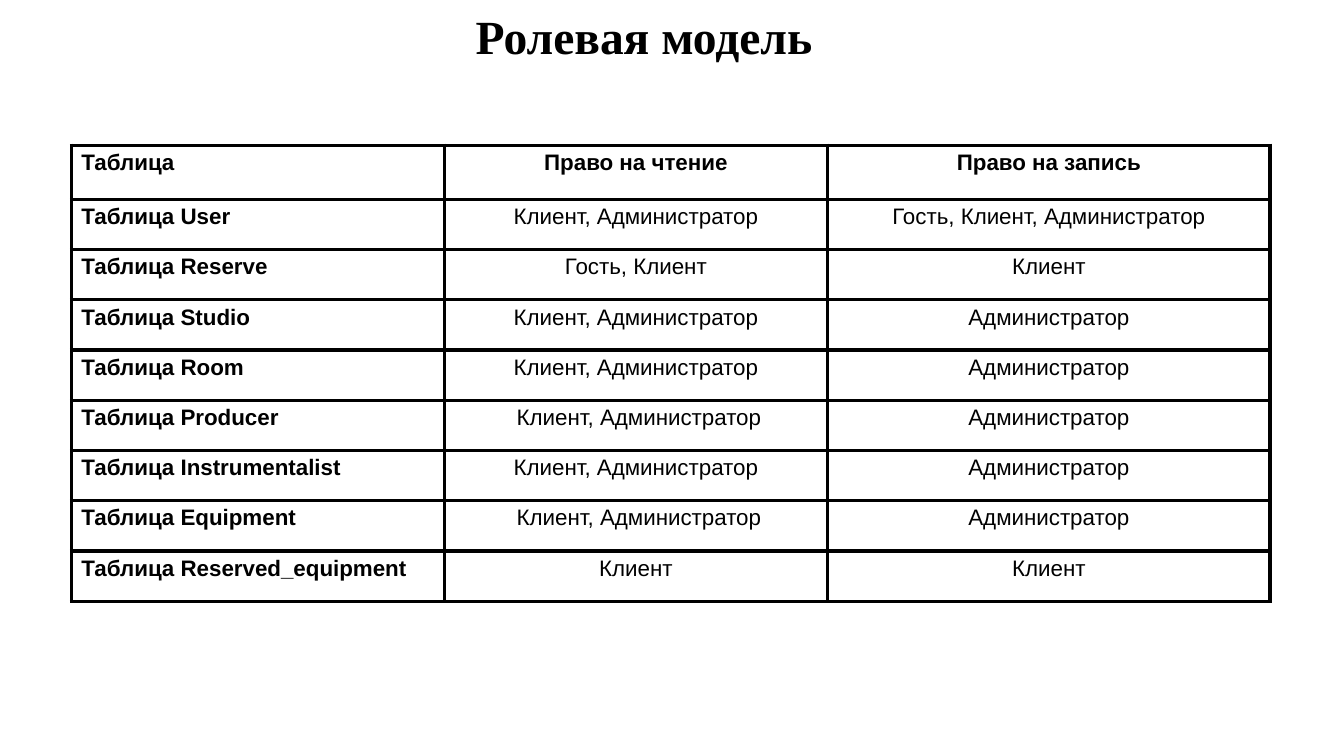
"""Builds a slide with the role model: read and write rights per table."""
from lxml import etree
from pptx import Presentation
from pptx.dml.color import RGBColor
from pptx.enum.text import MSO_ANCHOR, PP_ALIGN
from pptx.oxml.ns import qn
from pptx.util import Pt

BLACK = RGBColor(0, 0, 0)
WHITE = RGBColor(255, 255, 255)
LEFT, CENTER = PP_ALIGN.LEFT, PP_ALIGN.CENTER
TOP, MIDDLE = MSO_ANCHOR.TOP, MSO_ANCHOR.MIDDLE

BOTH = "Клиент, Администратор"
ADMIN = "Администратор"
CLIENT = "Клиент"
ROWS = [
    ("Таблица", "Право на чтение", "Право на запись"),
    ("Таблица User", BOTH, "Гость, Клиент, Администратор"),
    ("Таблица Reserve", "Гость, Клиент", CLIENT),
    ("Таблица Studio", BOTH, ADMIN),
    ("Таблица Room", BOTH, ADMIN),
    ("Таблица Producer", " " + BOTH, ADMIN),
    ("Таблица Instrumentalist", BOTH, ADMIN),
    ("Таблица Equipment", " " + BOTH, ADMIN),
    ("Таблица Reserved_equipment", CLIENT, CLIENT),
]
WIDTHS = [266.4, 274.2, 316.1]
HEAD, ROW = 38.6, 35.9


def style(part, font, size, bold):
    face = part.runs[0].font
    face.name, face.size, face.bold = font, Pt(size), bold
    face.color.rgb = BLACK


def border(cell):
    props = cell._tc.get_or_add_tcPr()
    for spot, side in enumerate(("a:lnL", "a:lnR", "a:lnT", "a:lnB")):
        line = etree.Element(qn(side), w=str(Pt(2.55)))
        fill = etree.SubElement(line, qn("a:solidFill"))
        etree.SubElement(fill, qn("a:srgbClr"), val=str(BLACK))
        props.insert(spot, line)


prs = Presentation()
prs.slide_width, prs.slide_height = Pt(960.5), Pt(540)
slide = prs.slides.add_slide(prs.slide_layouts[6])

title = slide.shapes.add_textbox(Pt(340), Pt(-17.3), Pt(252.7), Pt(90))
frame = title.text_frame
frame.word_wrap = True
frame.vertical_anchor = MIDDLE
frame.margin_left = frame.margin_right = frame.margin_top = frame.margin_bottom = 0
frame.text = "Ролевая модель"
frame.paragraphs[0].line_spacing = 0.9
style(frame.paragraphs[0], "Times New Roman", 34, True)

high = HEAD + ROW * (len(ROWS) - 1)
table = slide.shapes.add_table(len(ROWS), len(WIDTHS), Pt(51), Pt(103.8),
                               Pt(sum(WIDTHS)), Pt(high)).table
for col, width in zip(table.columns, WIDTHS):
    col.width = Pt(width)

for r, texts in enumerate(ROWS):
    table.rows[r].height = Pt(ROW if r else HEAD)
    for c, text in enumerate(texts):
        cell = table.cell(r, c)
        cell.fill.solid()
        cell.fill.fore_color.rgb = WHITE
        cell.vertical_anchor = TOP
        cell.margin_left = cell.margin_right = Pt(7.2)
        cell.margin_top = cell.margin_bottom = Pt(3.6)
        border(cell)
        cell.text_frame.text = text
        part = cell.text_frame.paragraphs[0]
        part.alignment = CENTER if c else LEFT
        part.space_after = Pt(2.8 if c else 0)
        style(part, "Arial", 16, r == 0 or c == 0)

prs.save("out.pptx")
